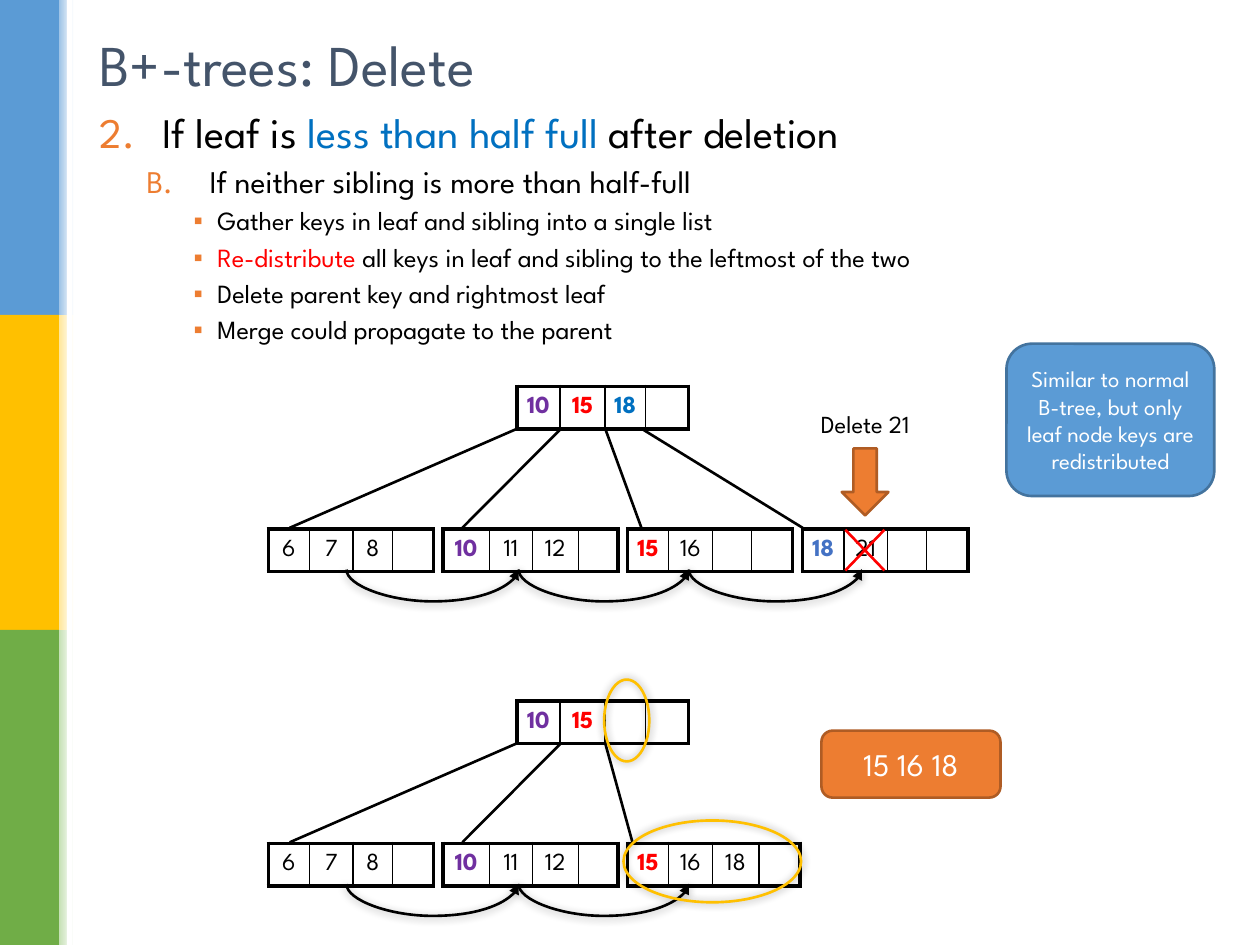
from lxml import etree
from pptx import Presentation
from pptx.dml.color import RGBColor
from pptx.enum.shapes import MSO_CONNECTOR, MSO_SHAPE
from pptx.enum.text import MSO_ANCHOR, MSO_AUTO_SIZE, PP_ALIGN
from pptx.oxml.ns import qn
from pptx.util import Cm, Pt

STRAIGHT, CURVE = MSO_CONNECTOR.STRAIGHT, MSO_CONNECTOR.CURVE
RECT, ROUNDED = MSO_SHAPE.RECTANGLE, MSO_SHAPE.ROUNDED_RECTANGLE
OVAL, DOWN_ARROW = MSO_SHAPE.OVAL, MSO_SHAPE.DOWN_ARROW
LEFT, CENTER = PP_ALIGN.LEFT, PP_ALIGN.CENTER
TOP, MIDDLE = MSO_ANCHOR.TOP, MSO_ANCHOR.MIDDLE
NO_AUTOFIT = MSO_AUTO_SIZE.NONE

BLACK = RGBColor(0x00, 0x00, 0x00)
WHITE = RGBColor(0xFF, 0xFF, 0xFF)
RED = RGBColor(0xFF, 0x00, 0x00)
PURPLE = RGBColor(0x70, 0x30, 0xA0)
KEY_BLUE = RGBColor(0x00, 0x70, 0xC0)
LEAF_BLUE = RGBColor(0x44, 0x72, 0xC4)
SLATE = RGBColor(0x44, 0x54, 0x6A)
SKY = RGBColor(0x5B, 0x9B, 0xD5)
SKY_EDGE = RGBColor(0x43, 0x73, 0x9E)
SKY_PALE = RGBColor(0x9D, 0xC3, 0xE6)
GOLD = RGBColor(0xFF, 0xC0, 0x00)
GOLD_PALE = RGBColor(0xFF, 0xE6, 0x99)
GREEN = RGBColor(0x70, 0xAD, 0x47)
GREEN_PALE = RGBColor(0xC5, 0xE0, 0xB4)
ORANGE = RGBColor(0xED, 0x7D, 0x31)
ORANGE_EDGE = RGBColor(0xAF, 0x5C, 0x24)

FONT = "League Spartan"
ROW_HEIGHT = 0.79
LEAF_TOP, ROOT_TOP = 10.66, 7.79
TREE_STEP = 6.34
LEAF_COLS = (0.83, 0.88, 0.79, 0.83)
MIDDLE_LEAF_COLS = (0.94, 0.86, 0.93, 0.8)
MERGED_LEAF_COLS = (0.83, 0.88, 0.94, 0.83)
ROOT_COLS = (0.87, 0.91, 0.81, 0.87)
ARC_STOPS = (6.98, 10.45, 13.88, 17.37)
ARC_TOP, ARC_THICKNESS, ARC_SAG = 11.48, 0.01, 0.64

NUMBER = {"type": "arabicPeriod", "startAt": "2"}
LETTER = {"type": "alphaUcPeriod", "startAt": "2"}
SQUARE = {"char": "▪"}
LEVELS = (
    {"size": 24, "before": 0, "indent": (1.27, -1.27), "bullet": ("a:buAutoNum", NUMBER)},
    {"size": 18, "before": 5.2, "indent": (2.22, -1.27), "bullet": ("a:buAutoNum", LETTER)},
    {"size": 15, "before": 4.5, "indent": (2.38, -0.48), "bullet": ("a:buChar", SQUARE)},
)
STEPS = (
    (0, (("If leaf is ", BLACK), ("less than half full", KEY_BLUE), (" after deletion", BLACK))),
    (1, (("If neither sibling is more than half-full", BLACK),)),
    (2, (("Gather keys in leaf and sibling into a single list", BLACK),)),
    (2, (("Re-distribute", RED),
         (" all keys in leaf and sibling to the leftmost of the two", BLACK))),
    (2, (("Delete parent key and rightmost leaf", BLACK),)),
    (2, (("Merge could propagate to the parent", BLACK),)),
)


def apply(target, formats):
    """Set each named format value on the target."""
    for name, value in formats.items():
        setattr(target, name, value)


def place(shape, left, top, width, height):
    """Move and size a placeholder in centimetres."""
    apply(shape, {"left": Cm(left), "top": Cm(top), "width": Cm(width), "height": Cm(height)})


def add_words(paragraph, text, size, color, bold=False):
    """Append one formatted run to a paragraph."""
    run = paragraph.add_run()
    run.text = text
    apply(run.font, {"size": Pt(size), "name": FONT, "bold": bold})
    run.font.color.rgb = color


def add_shadow(effects, opacity, distance):
    """Put a soft black shadow into an effect list."""
    shadow = etree.SubElement(effects, qn("a:outerShdw"), blurRad=str(Pt(5)),
                              dist=str(Pt(distance)), dir="5400000", rotWithShape="0")
    tint = etree.SubElement(shadow, qn("a:srgbClr"), val=str(BLACK))
    etree.SubElement(tint, qn("a:alpha"), val=str(opacity * 1000))


def add_block(slide, kind, box, fill=None, edge=None, text="", size=18):
    """Draw a preset shape with optional fill, outline and centred text."""
    block = slide.shapes.add_shape(kind, *map(Cm, box))
    block.shadow.inherit = False
    if fill is None:
        block.fill.background()
    else:
        block.fill.solid()
        block.fill.fore_color.rgb = fill
    if edge is None:
        block.line.fill.background()
    else:
        block.line.color.rgb = edge
        block.line.width = Pt(1.5)
    if text:
        apply(block.text_frame, {"word_wrap": True, "vertical_anchor": MIDDLE})
        paragraph = block.text_frame.paragraphs[0]
        paragraph.alignment = CENTER
        add_words(paragraph, text, size, WHITE)
    return block


def add_side_band(slide):
    """Draw the three coloured bands with their fading edges."""
    for row, (color, pale) in enumerate(((SKY, SKY_PALE), (GOLD, GOLD_PALE), (GREEN, GREEN_PALE))):
        top = row * 6.35
        add_block(slide, RECT, (0, top, 1.19, 6.35), color)
        fade = add_block(slide, RECT, (1.19, top, 0.3, 6.35), pale)
        fade.fill.gradient()
        fade.fill.gradient_angle = 0
        for stop, stop_color in zip(fade.fill.gradient_stops, (pale, WHITE)):
            stop.color.rgb = stop_color
    add_block(slide, RECT, (1.35, 0, 0.1, 19.05), WHITE)


def add_outline(body):
    """Fill the body with the numbered and bulleted steps."""
    frame = body.text_frame
    apply(frame, {"word_wrap": True, "auto_size": NO_AUTOFIT, "vertical_anchor": TOP})
    for index, (level, runs) in enumerate(STEPS):
        paragraph = frame.add_paragraph() if index else frame.paragraphs[0]
        style = LEVELS[level]
        apply(paragraph, {"level": level, "alignment": LEFT, "line_spacing": 0.9,
                          "space_before": Pt(style["before"]), "space_after": Pt(0)})
        properties = paragraph._p.get_or_add_pPr()
        for name, value in zip(("marL", "indent"), style["indent"]):
            properties.set(name, str(Cm(value)))
        bullet_color = etree.SubElement(properties, qn("a:buClr"))
        etree.SubElement(bullet_color, qn("a:srgbClr"), val=str(ORANGE))
        tag, attributes = style["bullet"]
        etree.SubElement(properties, qn(tag), attributes)
        for text, color in runs:
            add_words(paragraph, text, style["size"], color)


def add_borders(cell, widths):
    """Draw the left, right, top and bottom borders of a cell."""
    properties = cell._tc.get_or_add_tcPr()
    for index, (side, width) in enumerate(zip("LRTB", widths)):
        border = etree.Element(qn(f"a:ln{side}"), w=str(Pt(width)))
        fill = etree.SubElement(border, qn("a:solidFill"))
        etree.SubElement(fill, qn("a:srgbClr"), val=str(BLACK))
        properties.insert(index, border)


def add_node(slide, left, top, columns, keys, filled=False):
    """Draw a tree node as a one-row table of (key, colour) pairs."""
    node = slide.shapes.add_table(1, len(columns), Cm(left), Cm(top),
                                  Cm(sum(columns)), Cm(ROW_HEIGHT)).table
    apply(node, {"first_row": False, "horz_banding": False})
    last = len(columns) - 1
    for index, width in enumerate(columns):
        node.columns[index].width = Cm(width)
        cell = node.cell(0, index)
        apply(cell, {"vertical_anchor": MIDDLE, "margin_left": Cm(0.13), "margin_right": Cm(0.13),
                     "margin_top": Cm(0.13), "margin_bottom": Cm(0.13)})
        if filled:
            cell.fill.solid()
            cell.fill.fore_color.rgb = WHITE
        else:
            cell.fill.background()
        add_borders(cell, (1 if index else 2.25, 2.25 if index == last else 1, 2.25, 2.25))
        paragraph = cell.text_frame.paragraphs[0]
        paragraph.alignment = CENTER
        if index < len(keys):
            key, color = keys[index]
            add_words(paragraph, key, 14, color, color != BLACK)
        else:
            etree.SubElement(paragraph._p, qn("a:endParaRPr"), sz="1400")


def add_line(slide, start, end, color=BLACK, kind=STRAIGHT):
    """Draw a connector and return it with its empty effect list."""
    line = slide.shapes.add_connector(kind, *start, *end)
    line.line.color.rgb = color
    line.line.width = Pt(1.5)
    return line, etree.SubElement(line._element.spPr, qn("a:effectLst"))


def add_arc(slide, left, right, top):
    """Draw a curved arrow hanging below two neighbouring leaves."""
    middle, reach = Cm((left + right) / 2), Cm((right - left) / 2)
    arc, effects = add_line(slide, (middle + Cm(ARC_THICKNESS), Cm(top) + reach),
                            (middle, Cm(top) - reach), kind=CURVE)
    arc.rotation = 90
    properties = arc._element.spPr
    etree.SubElement(properties.find(qn("a:ln")), qn("a:tailEnd"), type="triangle")
    guides = properties.find(qn("a:prstGeom")).find(qn("a:avLst"))
    bend = round(-100000 * ARC_SAG / ARC_THICKNESS)
    etree.SubElement(guides, qn("a:gd"), name="adj1", fmla=f"val {bend}")
    add_shadow(effects, 32, 1)


def add_tree(slide, shift, root_keys, extra_leaves, branches):
    """Draw one B+-tree state, moved down by the shift."""
    leaf_top = LEAF_TOP + shift
    add_node(slide, 5.41, leaf_top, LEAF_COLS, [(key, BLACK) for key in "678"], True)
    add_node(slide, 8.93, leaf_top, MIDDLE_LEAF_COLS, [("10", PURPLE), ("11", BLACK), ("12", BLACK)])
    for left, columns, keys in extra_leaves:
        add_node(slide, left, leaf_top, columns, keys)
    add_node(slide, 10.42, ROOT_TOP + shift, ROOT_COLS, root_keys, True)
    for root_x, leaf_x in branches:
        add_line(slide, (Cm(root_x), Cm(8.64 + shift)), (Cm(leaf_x), Cm(10.64 + shift)))
    for index in range(len(extra_leaves) + 1):
        add_arc(slide, *ARC_STOPS[index:index + 2], ARC_TOP + shift)


def add_highlight(slide, box):
    """Ring a changed part of the tree in gold."""
    ring = add_block(slide, OVAL, box, edge=GOLD)
    add_shadow(ring._element.spPr.find(qn("a:effectLst")), 40, 0)


def main():
    """Build the B+-tree deletion slide."""
    deck = Presentation()
    apply(deck, {"slide_width": Cm(25.4), "slide_height": Cm(19.05)})
    slide = deck.slides.add_slide(deck.slide_layouts[1])
    title, body = slide.placeholders
    add_side_band(slide)

    place(title, 1.75, 0.41, 21.89, 1.73)
    apply(title.text_frame, {"word_wrap": True, "vertical_anchor": MIDDLE})
    heading = title.text_frame.paragraphs[0]
    heading.alignment = LEFT
    add_words(heading, "B+-trees: Delete", 33, SLATE)
    place(body, 1.75, 2.13, 22.5, 14.63)
    add_outline(body)
    add_block(slide, ROUNDED, (20.29, 6.93, 4.19, 3.07), SKY, SKY_EDGE,
              "Similar to normal B-tree, but only leaf node keys are redistributed", 13)

    root_keys = [("10", PURPLE), ("15", RED)]
    third_leaf = [("15", RED), ("16", BLACK)]
    outer_branches = [(10.43, 5.84), (11.31, 9.32)]
    add_tree(slide, 0, root_keys + [("18", KEY_BLUE)],
             [(12.65, LEAF_COLS, third_leaf),
              (16.18, LEAF_COLS, [("18", LEAF_BLUE), ("21", BLACK)])],
             outer_branches + [(12.2, 12.93), (12.93, 16.18)])
    add_tree(slide, TREE_STEP, root_keys,
             [(12.65, MERGED_LEAF_COLS, third_leaf + [("18", BLACK)])],
             outer_branches + [(12.2, 12.75)])

    add_block(slide, ROUNDED, (16.56, 14.73, 3.61, 1.35), ORANGE, ORANGE_EDGE, "15 16 18")
    add_highlight(slide, (12.18, 13.7, 0.91, 1.65))
    add_block(slide, DOWN_ARROW, (16.97, 9.04, 0.94, 1.35), ORANGE, ORANGE_EDGE)
    label = slide.shapes.add_textbox(Cm(16.05), Cm(8.13), Cm(2.79), Cm(0.86)).text_frame
    label.word_wrap = True
    label.paragraphs[0].alignment = CENTER
    add_words(label.paragraphs[0], "Delete 21", 14, BLACK)
    for start_x, end_x in ((17.83, 17.04), (17.04, 17.83)):
        add_line(slide, (Cm(start_x), Cm(10.68)), (Cm(end_x), Cm(11.5)), RED)
    add_highlight(slide, (12.57, 16.54, 3.58, 1.65))
    deck.save("out.pptx")


if __name__ == "__main__":
    main()
